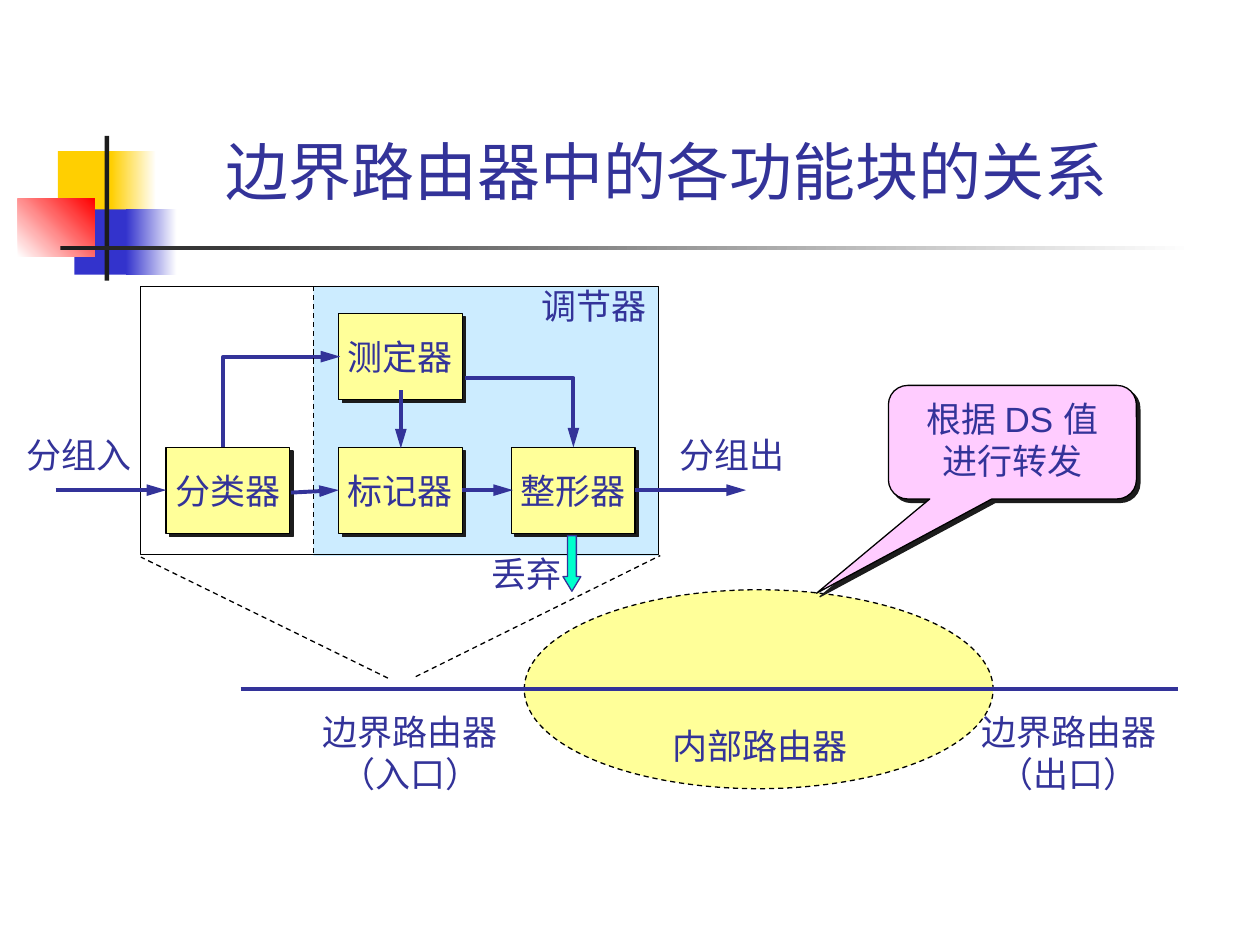
from typing import NamedTuple, Optional

from lxml.etree import SubElement
from pptx import Presentation
from pptx.dml.color import RGBColor
from pptx.enum.dml import MSO_LINE
from pptx.enum.shapes import MSO_CONNECTOR, MSO_SHAPE
from pptx.enum.text import MSO_ANCHOR, PP_ALIGN
from pptx.oxml.ns import qn
from pptx.util import Cm, Pt

NAVY = RGBColor(0x33, 0x33, 0x99)
BLUE = RGBColor(0x33, 0x33, 0xCC)
GOLD = RGBColor(0xFF, 0xCF, 0x01)
RED = RGBColor(0xFF, 0x00, 0x00)
INK = RGBColor(0x1C, 0x1C, 0x1C)
BLACK = RGBColor(0x00, 0x00, 0x00)
WHITE = RGBColor(0xFF, 0xFF, 0xFF)
SKY = RGBColor(0xCC, 0xEC, 0xFF)
CREAM = RGBColor(0xFF, 0xFF, 0x99)
PINK = RGBColor(0xFF, 0xCC, 0xFF)
MINT = RGBColor(0x00, 0xFF, 0xCC)

TOP, ROW, MID = 5.77, 9.02, 9.88
COL, STEP = 3.35, 3.48
BOX_W, BOX_H = 2.49, 1.73


class Area(NamedTuple):
    left: float
    top: float
    width: float
    height: float


class Bar(NamedTuple):
    area: Area
    start: RGBColor
    end: Optional[RGBColor] = None
    angle: float = 0


class Label(NamedTuple):
    area: Area
    lines: tuple[str, ...]


class Link(NamedTuple):
    x1: float
    y1: float
    x2: float
    y2: float


BARS = [
    Bar(Area(1.17, 3.05, 1.22, 1.32), GOLD),
    Bar(Area(2.24, 3.05, 0.91, 1.32), GOLD, WHITE),
    Bar(Area(1.5, 4.22, 1.17, 1.32), BLUE),
    Bar(Area(2.54, 4.22, 1.02, 1.32), BLUE, WHITE),
    Bar(Area(0.36, 4.01, 1.55, 1.17), WHITE, RED, 45),
    Bar(Area(2.11, 2.74, 0.09, 2.92), INK),
    Bar(Area(1.22, 4.95, 22.86, 0.09), INK, WHITE),
]
LABELS = [
    Label(Area(13.31, 14.48, 4.04, 1.09), ("内部路由器",)),
    Label(Area(6.25, 14.2, 4.04, 1.96), ("边界路由器", "（入口）")),
    Label(Area(19.53, 14.2, 4.04, 1.96), ("边界路由器", "（出口）")),
    Label(Area(10.67, 5.61, 2.62, 1.09), ("调节器",)),
    Label(Area(0.28, 8.61, 2.62, 1.09), ("分组入",)),
    Label(Area(13.44, 8.61, 2.62, 1.09), ("分组出",)),
    Label(Area(9.65, 11.02, 1.93, 1.09), ("丢弃",)),
]
BLOCKS = [
    Label(Area(COL + STEP * col, top, BOX_W, BOX_H), (name,))
    for name, col, top in [("分类器", 0, ROW), ("标记器", 1, ROW),
                           ("整形器", 2, ROW), ("测定器", 1, 6.32)]
]
ARROWS = [
    Link(8.08, 7.87, 8.08, 9.04),
    Link(1.12, MID, COL, MID),
    Link(12.8, MID, 15.04, MID),
    Link(5.87, 9.93, 6.83, MID),
    Link(9.32, MID, 10.34, MID),
]
BENDS = [
    [(4.5, ROW), (4.5, 7.19), (6.86, 7.19)],
    [(9.37, 7.62), (11.56, 7.62), (11.56, ROW)],
]
DASHES = [
    Link(8.38, 13.64, 13.31, 11.2),
    Link(7.82, 13.67, 2.84, 11.23),
    Link(6.32, TOP, 6.32, 11.2),
]

deck = Presentation()
deck.slide_width, deck.slide_height = Cm(25.4), Cm(19.05)
slide = deck.slides.add_slide(deck.slide_layouts[6])


def set_glow(shape, shadow: bool = False) -> None:
    """Replace the theme shadow by none, or by a hard offset one."""
    props = shape._element.spPr
    effects = SubElement(props, qn("a:effectLst"))
    if shadow:
        outer = SubElement(effects, qn("a:outerShdw"), blurRad="0",
                           dist=str(Pt(2.8)), dir="2700000", algn="ctr",
                           rotWithShape="0")
        SubElement(outer, qn("a:srgbClr"), val=str(INK))


def set_line(shape, color: RGBColor, width: float, dash: bool = False,
             head: bool = False) -> None:
    shape.line.color.rgb = color
    shape.line.width = Pt(width)
    if dash:
        shape.line.dash_style = MSO_LINE.DASH
    if head:
        SubElement(shape._element.spPr.get_or_add_ln(), qn("a:tailEnd"),
                   type="triangle", w="med", len="lg")


def add_form(kind: MSO_SHAPE, area: Area, fill: Optional[RGBColor] = None,
             line: Optional[RGBColor] = None, dash: bool = False,
             shadow: bool = False):
    shape = slide.shapes.add_shape(kind, *map(Cm, area))
    if fill is None:
        shape.fill.background()
    else:
        shape.fill.solid()
        shape.fill.fore_color.rgb = fill
    if line is None:
        shape.line.fill.background()
    else:
        set_line(shape, line, 0.75, dash)
    set_glow(shape, shadow)
    return shape


def add_bar(bar: Bar) -> None:
    shape = add_form(MSO_SHAPE.RECTANGLE, bar.area, bar.start)
    if bar.end is not None:
        shape.fill.gradient()
        shape.fill.gradient_angle = bar.angle
        for stop, color in zip(shape.fill.gradient_stops, (bar.start, bar.end)):
            stop.color.rgb = color


def put_text(shape, lines: tuple[str, ...], size: float = 20,
             anchor: MSO_ANCHOR = MSO_ANCHOR.TOP, wrap: bool = False) -> None:
    frame = shape.text_frame
    frame.word_wrap = wrap
    frame.vertical_anchor = anchor
    for pos, line in enumerate(lines):
        para = frame.add_paragraph() if pos else frame.paragraphs[0]
        para.alignment = PP_ALIGN.CENTER
        run = para.add_run()
        run.text = line
        run.font.name = "Arial"
        run.font.size = Pt(size)
        run.font.color.rgb = NAVY


def add_link(link: Link, color: RGBColor, width: float, dash: bool = False,
             head: bool = False) -> None:
    line = slide.shapes.add_connector(MSO_CONNECTOR.STRAIGHT, *map(Cm, link))
    set_line(line, color, width, dash, head)
    set_glow(line)


def add_bend(points: list[tuple[float, float]]) -> None:
    """Draw an open path that ends in an arrowhead."""
    first, *rest = [(Cm(x), Cm(y)) for x, y in points]
    pen = slide.shapes.build_freeform(*first)
    pen.add_line_segments(rest, close=False)
    shape = pen.convert_to_shape()
    shape.fill.background()
    set_line(shape, NAVY, 2.25, head=True)
    set_glow(shape)


def main() -> None:
    for bar in BARS:
        add_bar(bar)
    title = slide.shapes.add_textbox(*map(Cm, (2.29, 2.39, 22.56, 1.93)))
    put_text(title, ("边界路由器中的各功能块的关系 ",), 36, MSO_ANCHOR.BOTTOM, True)

    add_form(MSO_SHAPE.RECTANGLE, Area(6.32, TOP, 6.96, 5.44), SKY)
    add_form(MSO_SHAPE.RECTANGLE, Area(2.84, TOP, 10.44, 5.41), line=BLACK)
    add_form(MSO_SHAPE.OVAL, Area(10.57, 11.89, 9.45, 4.01), CREAM, BLACK, True)
    add_link(Link(4.85, 13.89, 23.75, 13.89), NAVY, 2.25)

    for block in BLOCKS:
        shape = add_form(MSO_SHAPE.RECTANGLE, block.area, CREAM, BLACK,
                         shadow=True)
        put_text(shape, block.lines, anchor=MSO_ANCHOR.MIDDLE)
    for link in ARROWS:
        add_link(link, NAVY, 2.25, head=True)
    for points in BENDS:
        add_bend(points)
    for link in DASHES:
        add_link(link, BLACK, 0.75, dash=True)

    note = add_form(MSO_SHAPE.ROUNDED_RECTANGULAR_CALLOUT,
                    Area(17.91, 7.77, 5, 2.29), PINK, BLACK, shadow=True)
    for pos, value in enumerate((-0.79, 1.33, 0.17)):
        note.adjustments[pos] = value
    put_text(note, ("根据 DS 值", "进行转发"), wrap=True)

    drop = add_form(MSO_SHAPE.DOWN_ARROW, Area(11.35, 10.8, 0.36, 1.12),
                    MINT, NAVY)
    drop.adjustments[1] = 0.82
    for label in LABELS:
        put_text(slide.shapes.add_textbox(*map(Cm, label.area)), label.lines)
    deck.save("out.pptx")


if __name__ == "__main__":
    main()
